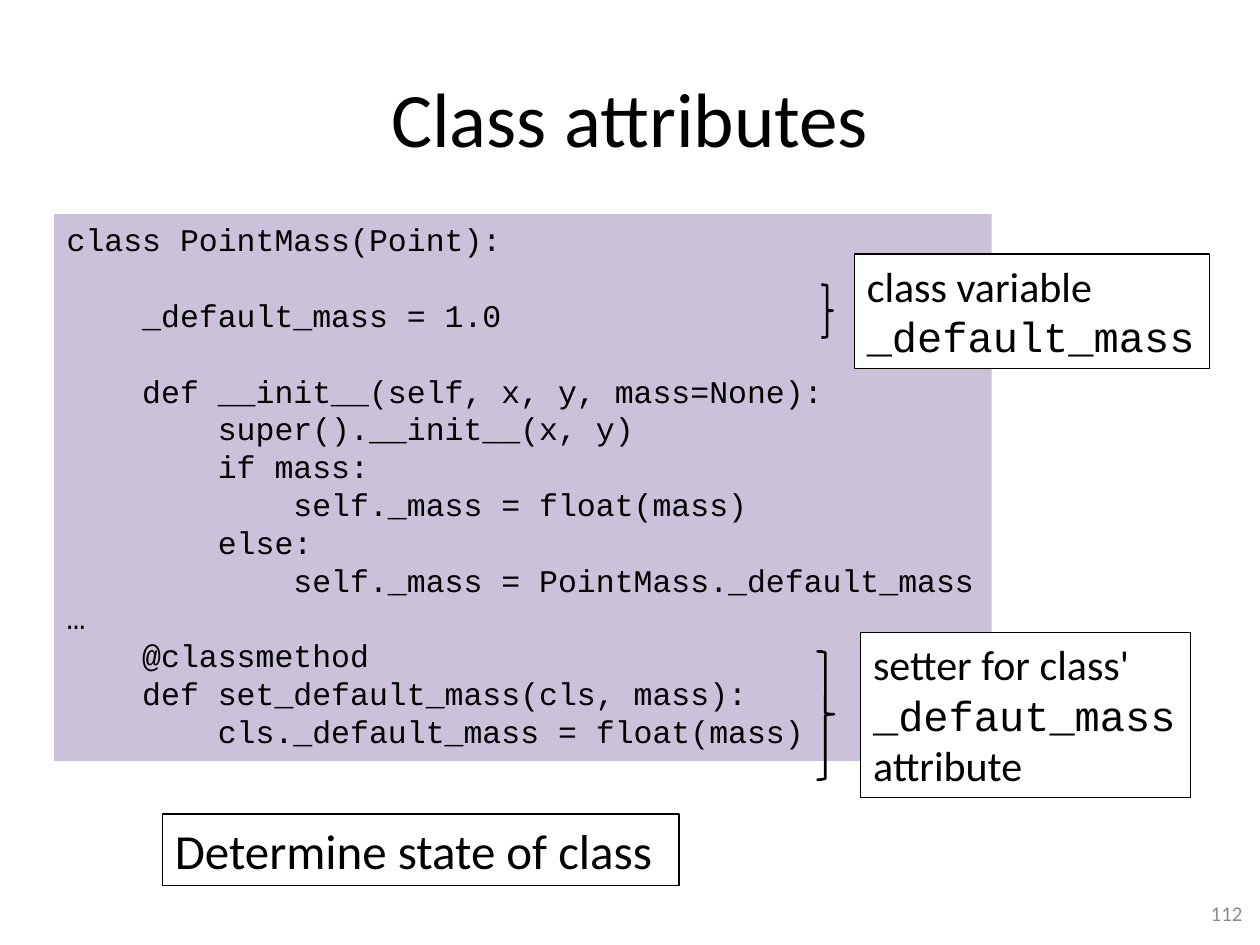
import pptx
import pptx.util
import pptx.dml.color
import pptx.enum.shapes
import pptx.enum.text

Pt = pptx.util.Pt
Shape = pptx.enum.shapes.MSO_SHAPE
Align = pptx.enum.text.PP_ALIGN
Anchor = pptx.enum.text.MSO_ANCHOR
Fit = pptx.enum.text.MSO_AUTO_SIZE

COLORS = {"ink": "000000", "paper": "FFFFFF", "code": "CCC1DA", "page": "8C8C8C"}
SANS = "Calibri"
MONO = "Courier New"
LINE = 21.6

CODE = """class PointMass(Point):

    _default_mass = 1.0

    def __init__(self, x, y, mass=None):
        super().__init__(x, y)
        if mass:
            self._mass = float(mass)
        else:
            self._mass = PointMass._default_mass
…
    @classmethod
    def set_default_mass(cls, mass):
        cls._default_mass = float(mass)"""


def color(name):
    return pptx.dml.color.RGBColor.from_string(COLORS[name])


def write(shape, text, size=24, font=SANS, ink="ink", align=Align.LEFT,
          anchor=Anchor.TOP, wrap=True, grow=False, breaks=False):
    frame = shape.text_frame
    frame.word_wrap = wrap
    frame.vertical_anchor = anchor
    frame.auto_size = Fit.SHAPE_TO_FIT_TEXT if grow else Fit.NONE
    para = frame.paragraphs[0]
    para.alignment = align
    gap = 0
    for num, line in enumerate(text.split("\n")):
        if not line:
            gap += LINE
            continue
        if num and breaks:
            para.add_line_break()
        elif num:
            para = frame.add_paragraph()
            para.alignment = align
            para.space_before = Pt(gap)
        gap = 0
        run = para.add_run()
        run.text = line
        run.font.name = MONO if line.startswith("_") else font
        run.font.size = Pt(size)
        run.font.color.rgb = color(ink)


def label(shapes, text, at, **form):
    write(shapes.add_textbox(*map(Pt, at)), text, **form)


def box(shapes, text, at, fill="paper", edge=True, **form):
    shape = shapes.add_shape(Shape.RECTANGLE, *map(Pt, at))
    shape.shadow.inherit = False
    shape.fill.solid()
    shape.fill.fore_color.rgb = color(fill)
    if edge:
        shape.line.color.rgb = color("ink")
        shape.line.width = Pt(0.75)
    else:
        shape.line.fill.background()
    write(shape, text, grow=True, **form)


def brace(shapes, at):
    shape = shapes.add_shape(Shape.RIGHT_BRACE, *map(Pt, at))
    shape.shadow.inherit = False
    shape.adjustments[0] = 0.08
    shape.adjustments[1] = 0.49
    shape.fill.background()
    shape.line.color.rgb = color("ink")
    shape.line.width = Pt(1.5)


def callout(slide, text, span, at):
    group = slide.shapes.add_group_shape()
    brace(group.shapes, span)
    box(group.shapes, text, at, wrap=False, breaks=True)


def main():
    deck = pptx.Presentation()
    deck.slide_width = Pt(720)
    deck.slide_height = Pt(540)
    slide = deck.slides.add_slide(deck.slide_layouts[6])
    shapes = slide.shapes
    label(shapes, "Class attributes", (36, 21.6, 648, 90), size=44,
          align=Align.CENTER, anchor=Anchor.MIDDLE)
    box(shapes, CODE, (31, 122.4, 535.7, 312.5), fill="code", edge=False,
        size=18, font=MONO, wrap=False)
    callout(slide, "setter for class'\n_defaut_mass\nattribute",
            (466.6, 372.2, 10, 73.4), (491.8, 361.4, 188.6, 94.3))
    callout(slide, "class variable\n_default_mass",
            (469.4, 162.7, 6.5, 30.2), (488.2, 145.1, 203, 65.5))
    box(shapes, "Determine state of class", (92.9, 465.1, 295.2, 41), size=28)
    label(shapes, "112", (549.4, 507.6, 167.8, 28.8), size=12, ink="page",
          align=Align.RIGHT, anchor=Anchor.MIDDLE)
    deck.save("out.pptx")


if __name__ == "__main__":
    main()
